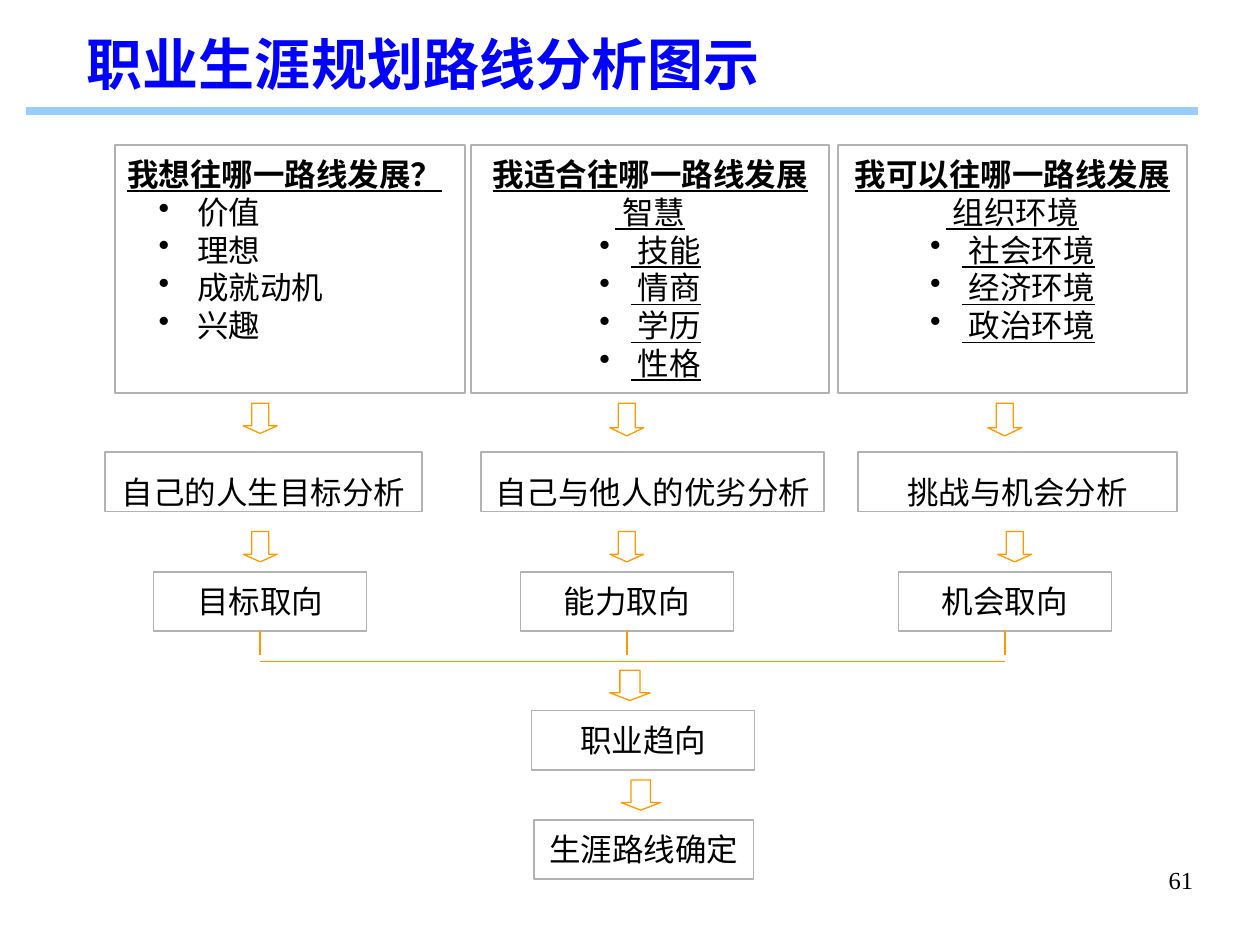
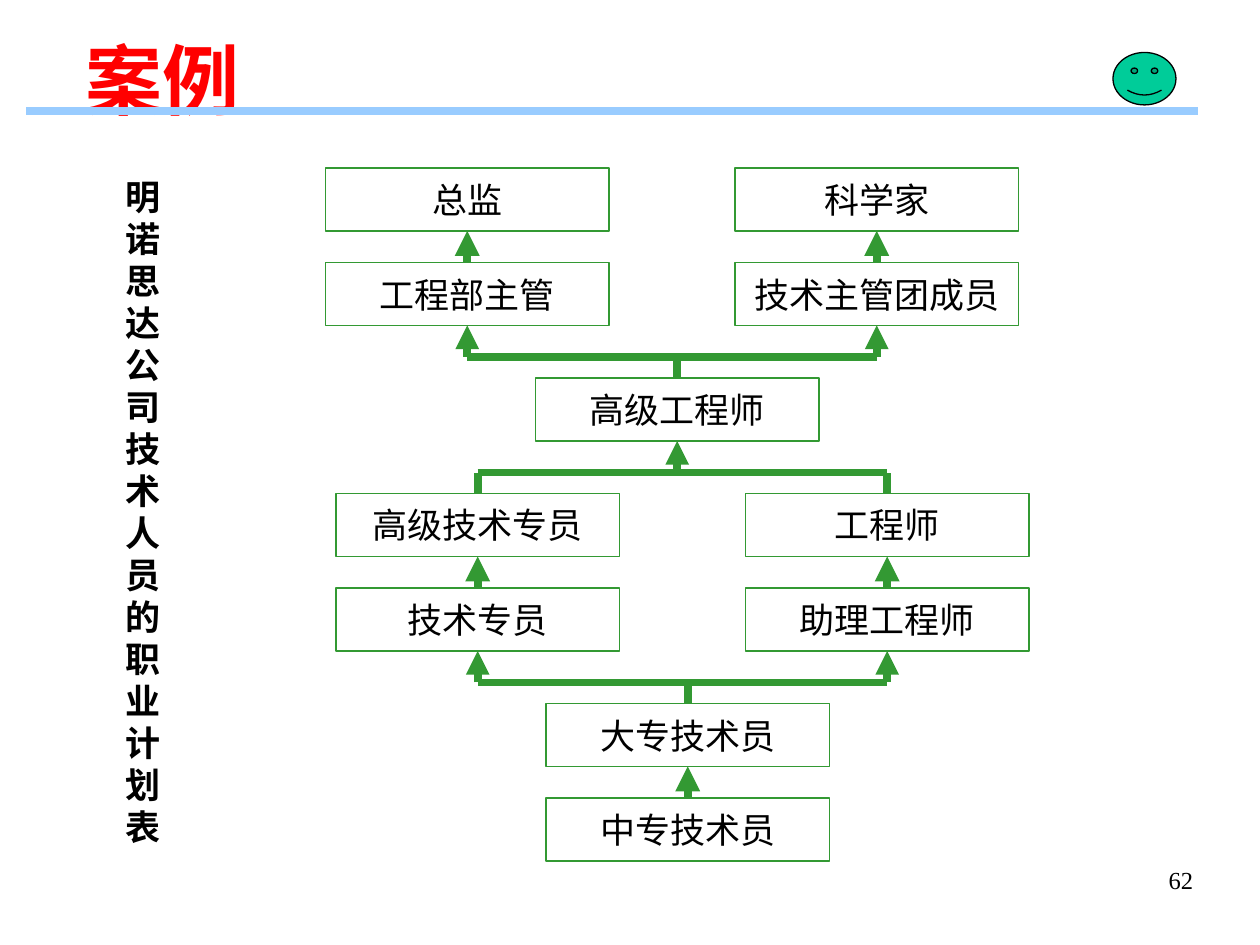
"""Build two slides: a career route analysis and a case of career ladders."""
import lxml.etree
import pptx
import pptx.dml.color
import pptx.enum.shapes
import pptx.enum.text
import pptx.oxml.ns
import pptx.util

Pt = pptx.util.Pt
RGBColor = pptx.dml.color.RGBColor
SHAPE = pptx.enum.shapes.MSO_SHAPE
ALIGN = pptx.enum.text.PP_ALIGN
qn = pptx.oxml.ns.qn

BLACK = RGBColor(0, 0, 0)
BLUE = RGBColor(0, 0, 255)
RED = RGBColor(255, 0, 0)
BAND = RGBColor(0x99, 0xCC, 0xFF)
GREY = RGBColor(0xB2, 0xB2, 0xB2)
ORANGE = RGBColor(0xFF, 0x99, 0x00)
GREEN = RGBColor(0x33, 0x99, 0x33)
TEAL = RGBColor(0x00, 0xCC, 0x99)
SANS = "Noto Sans CJK SC"
SERIF = "Times New Roman"


def write(shape, lines, size, name=SANS, color=BLACK, align=ALIGN.CENTER, top=3.6):
    """Fill a shape with lines, each a text, its font values and a bullet indent."""
    frame = shape.text_frame
    settings = {
        "word_wrap": True,
        "auto_size": pptx.enum.text.MSO_AUTO_SIZE.NONE,
        "vertical_anchor": pptx.enum.text.MSO_ANCHOR.TOP,
        "margin_left": Pt(7.2),
        "margin_right": Pt(7.2),
        "margin_top": Pt(top + 0.12 * size),
        "margin_bottom": Pt(3.6),
    }
    for key, value in settings.items():
        setattr(frame, key, value)
    for index, (text, look, indent) in enumerate(lines):
        para = frame.add_paragraph() if index else frame.paragraphs[0]
        para.alignment = align
        para.line_spacing = Pt(1.2 * size)
        para.space_before = Pt(0)
        if indent:
            properties = para._p.get_or_add_pPr()
            properties.set("marL", str(Pt(indent)))
            properties.set("indent", str(-Pt(18)))
            lxml.etree.SubElement(properties, qn("a:buChar")).set("char", "•")
        span = para.add_run()
        span.text = text
        for key, value in {"size": Pt(size), "name": name, "bold": False, **look}.items():
            setattr(span.font, key, value)
        span.font.color.rgb = color
        lxml.etree.SubElement(span._r.get_or_add_rPr(), qn("a:ea")).set("typeface", SANS)


def outline(page, kind, place, color, width):
    """Add an unfilled shape with a plain outline."""
    shape = page.shapes.add_shape(kind, *map(Pt, place))
    shape.shadow.inherit = False
    shape.fill.background()
    shape.line.color.rgb = color
    shape.line.width = Pt(width)
    return shape


deck = pptx.Presentation()
deck.slide_width, deck.slide_height = Pt(720), Pt(540)
links = []
pages = []

for title, size, color, name, place, number in [
    ("职业生涯规划路线分析图示", 32, BLUE, SERIF, (42.5, 9.4, 622.8, 46.1), "61"),
    ("案例", 44, RED, SANS, (41.8, 9.4, 491.8, 60.5), "62"),
]:
    page = deck.slides.add_slide(deck.slide_layouts[5])
    pages.append(page)
    heading = page.shapes.title
    heading.left, heading.top, heading.width, heading.height = map(Pt, place)
    write(heading, [(title, {"bold": True}, 0)], size, name, color, ALIGN.LEFT)
    footer = page.shapes.add_textbox(Pt(516.2), Pt(491.8), Pt(172.8), Pt(36))
    write(footer, [(number, {}, 0)], 14, SERIF, align=ALIGN.RIGHT, top=0.6)
    links.append((page, BAND, 4.5, ((15, 63.4), None), ((684.7, 63.4), None), False))

route, case = pages

for left, width, question, plain, bulleted, align, underline, indent in [
    (65.5, 200.2, "我想往哪一路线发展？", [], ["价值", "理想", "成就动机", "兴趣"],
     ALIGN.LEFT, False, 36),
    (269.3, 204.5, "我适合往哪一路线发展", ["智慧"], ["技能", "情商", "学历", "性格"],
     ALIGN.CENTER, True, 18),
    (478.8, 199.4, "我可以往哪一路线发展", ["组织环境"], ["社会环境", "经济环境", "政治环境"],
     ALIGN.CENTER, True, 18),
]:
    box = outline(route, SHAPE.RECTANGLE, (left, 82.8, width, 141.8), GREY, 1)
    lines = [(question, {"bold": True, "underline": True}, 0)]
    lines += [(" " + text, {"underline": underline}, 0) for text in plain]
    lines += [(" " + text, {"underline": underline}, indent) for text in bulleted]
    write(box, lines, 18, align=align)

steps = {}
for text, left, top, width, inset in [
    ("自己的人生目标分析", 59.8, 258.5, 181.4, 9.4),
    ("自己与他人的优劣分析", 275, 258.5, 195.8, 9.4),
    ("挑战与机会分析", 490.3, 258.5, 182.2, 9.4),
    ("目标取向", 87.8, 326.9, 121.7, 3.6),
    ("能力取向", 297.4, 326.9, 121.7, 3.6),
    ("机会取向", 513.4, 326.9, 121.7, 3.6),
    ("职业趋向", 303.8, 406.1, 127.4, 3.6),
    ("生涯路线确定", 305.3, 468.7, 125.3, 3.6),
]:
    steps[text] = outline(route, SHAPE.RECTANGLE, (left, top, width, 33.8), GREY, 1)
    write(steps[text], [(text, {}, 0)], 18, top=inset)

for place in [
    (139, 230.4, 19.4, 17.3), (348.5, 230.4, 19.4, 18.7), (564.5, 230.4, 19.4, 18.7),
    (139, 303.8, 19.4, 17.3), (348.5, 303.8, 19.4, 17.3), (570.2, 303.8, 19.4, 17.3),
    (348.5, 383, 23, 17.3), (355, 445.7, 22.3, 17.3),
]:
    arrow = outline(route, SHAPE.DOWN_ARROW, place, ORANGE, 0.75)
    arrow.adjustments[0], arrow.adjustments[1] = 0.5, 0.25

orientations = [steps[text] for text in ("目标取向", "能力取向", "机会取向")]
middles = [(box.left + box.width / 2) / Pt(1) for box in orientations]
for box, middle in zip(orientations, middles):
    links.append((route, ORANGE, 0.75, (box, 2), ((middle, 374.4), None), False))
links.append((route, ORANGE, 0.75, ((middles[0], 378), None), ((middles[-1], 378), None), False))

ranks = {}
for top, left, names in [
    (96, 186, ["总监", "科学家"]),
    (150, 186, ["工程部主管", "技术主管团成员"]),
    (216, 306, ["高级工程师"]),
    (282, 192, ["高级技术专员", "工程师"]),
    (336, 192, ["技术专员", "助理工程师"]),
    (402, 312, ["大专技术员"]),
    (456, 312, ["中专技术员"]),
]:
    for column, text in enumerate(names):
        place = (left + 234 * column, top, 162, 36)
        ranks[text] = outline(case, SHAPE.RECTANGLE, place, GREEN, 0.75)
        write(ranks[text], [(text, {}, 0)], 20, SERIF)

for lower, upper in [
    ("工程部主管", "总监"), ("技术主管团成员", "科学家"), ("技术专员", "高级技术专员"),
    ("助理工程师", "工程师"), ("中专技术员", "大专技术员"),
]:
    links.append((case, GREEN, 4.75, (ranks[lower], 0), (ranks[upper], 2), True))

for height, lowers, uppers in [
    (204, ["高级工程师"], ["工程部主管", "技术主管团成员"]),
    (270, ["高级技术专员", "工程师"], ["高级工程师"]),
    (390, ["大专技术员"], ["技术专员", "助理工程师"]),
]:
    middles = {text: (ranks[text].left + ranks[text].width / 2) / Pt(1)
               for text in lowers + uppers}
    for text in lowers:
        links.append((case, GREEN, 4.5, (ranks[text], 0), ((middles[text], height), None), False))
    for text in uppers:
        links.append((case, GREEN, 4.5, ((middles[text], height), None), (ranks[text], 2), True))
    ends = [((edge(middles.values()), height), None) for edge in (min, max)]
    links.append((case, GREEN, 4.5, *ends, False))

caption = case.shapes.add_textbox(Pt(64.8), Pt(94.3), Pt(54), Pt(391.7))
write(caption, [("明诺思达公司技术人员的职业计划表", {"bold": True}, 0)], 20, SERIF, align=ALIGN.LEFT)
smiley = outline(case, SHAPE.SMILEY_FACE, (636, 30, 36, 30), BLACK, 0.75)
smiley.fill.solid()
smiley.fill.fore_color.rgb = TEAL
smiley.adjustments[0] = 0.047

for page, color, width, start, finish, pointed in links:
    points = []
    for joint, side in (start, finish):
        if side is None:
            points += [Pt(joint[0]), Pt(joint[1])]
        else:
            points += [joint.left + joint.width // 2, joint.top + joint.height * side // 2]
    link = page.shapes.add_connector(pptx.enum.shapes.MSO_CONNECTOR.STRAIGHT, *points)
    for (joint, side), connect in ((start, link.begin_connect), (finish, link.end_connect)):
        if side is not None:
            connect(joint, side)
    link.line.color.rgb = color
    link.line.width = Pt(width)
    if pointed:
        lxml.etree.SubElement(link.line._ln, qn("a:tailEnd")).set("type", "triangle")
    lxml.etree.SubElement(link._element.spPr, qn("a:effectLst"))

deck.save("out.pptx")
